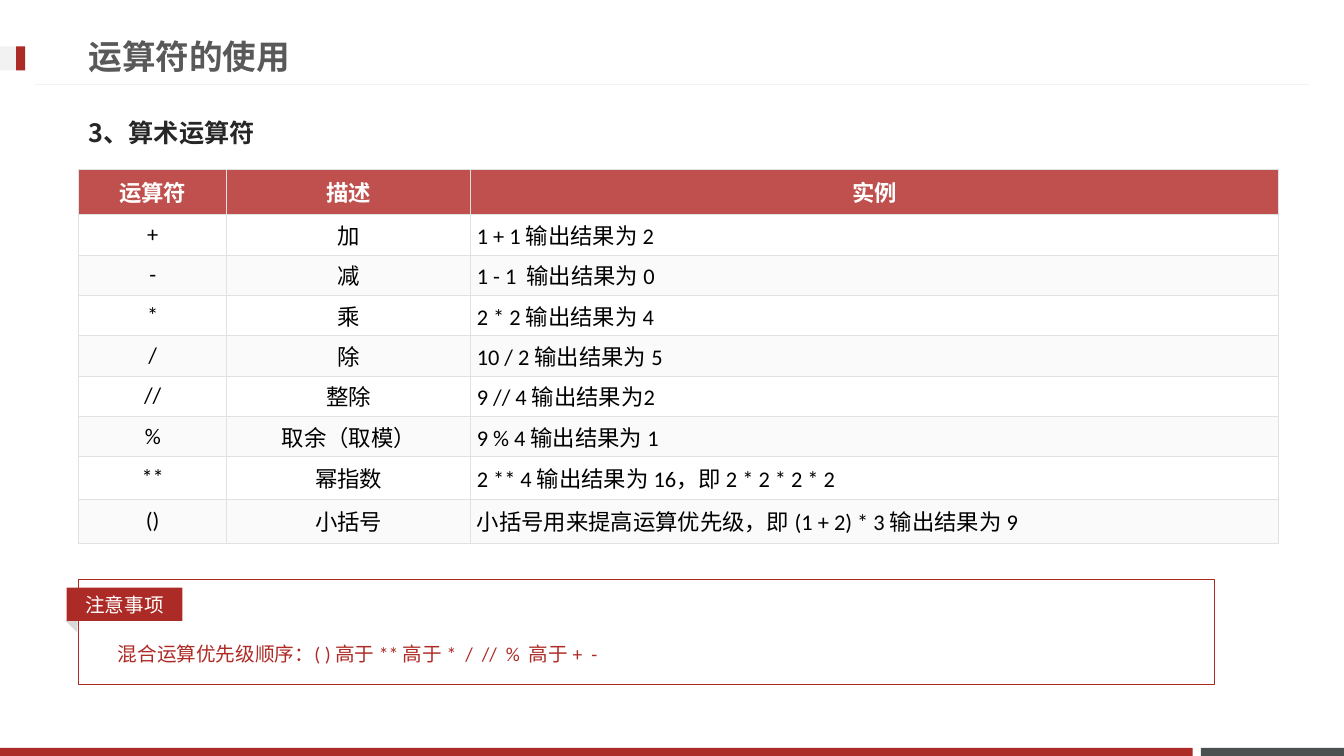
"""Build the slide on arithmetic operators."""
from lxml import etree
from pptx import Presentation
from pptx.dml.color import RGBColor
from pptx.enum import shapes, text
from pptx.oxml import ns
from pptx.util import Inches, Pt

RED, WHITE = "AD2B26", "FFFFFF"
MID, LEFT = text.PP_ALIGN.CENTER, text.PP_ALIGN.LEFT
BOX = shapes.MSO_SHAPE.RECTANGLE


def paint(item, fill=None, line=None):
    """Set a solid fill and a line, or none."""
    item.shadow.inherit = False
    for part, tint in ((item.fill, fill), (item.line.fill, line)):
        if tint:
            part.solid()
            part.fore_color.rgb = RGBColor.from_string(tint)
        else:
            part.background()
    if line:
        item.line.width = Pt(0.75)


def write(frame, words, size, tint, bold=False, align=LEFT, face="Calibri"):
    """Put one styled paragraph in a frame."""
    frame.word_wrap = True
    para = frame.paragraphs[0]
    para.alignment = align
    run = para.add_run()
    run.text = words
    form = {"size": Pt(size), "bold": bold, "name": face}
    for key, val in form.items():
        setattr(run.font, key, val)
    run.font.color.rgb = RGBColor.from_string(tint)


deck = Presentation()
deck.slide_width, deck.slide_height = Inches(13.33), Inches(7.5)
slide = deck.slides.add_slide(deck.slide_layouts[6])
items = slide.shapes

bars = [
    (11.91, 7.42, 1.42, 0.08, "49504F"),
    (0, 7.42, 11.83, 0.08, RED),
    (0, 0.46, 0.25, 0.24, "F2F2F2"),
    (0.16, 0.46, 0.09, 0.24, RED),
]
for *place, tint in bars:
    paint(items.add_shape(BOX, *map(Inches, place)), tint)

rule = items.add_connector(shapes.MSO_CONNECTOR.STRAIGHT, Inches(12.98),
                           Inches(0.84), Inches(0.35), Inches(0.84))
rule.line.color.rgb = RGBColor.from_string("F2F2F2")
rule.line.width = Pt(0.75)
etree.SubElement(rule._element.spPr, ns.qn("a:effectLst"))

heads = [
    (0.27, 9.59, "运算符的使用", 24, "595959", "Calibri"),
    (1.03, 11.76, "3、算术运算符", 18, "262626", "Noto Sans CJK JP"),
]
for top, wide, words, size, tint, face in heads:
    head = items.add_textbox(Inches(0.78), Inches(top), Inches(wide), Inches(0.57))
    head.text_frame.vertical_anchor = text.MSO_ANCHOR.MIDDLE
    write(head.text_frame, words, size, tint, True, face=face)

rows = [
    ("运算符", "描述", "实例"),
    ("+", "加", "1 + 1 输出结果为 2"),
    ("-", "减", "1 - 1  输出结果为 0"),
    ("*", "乘", "2 * 2 输出结果为 4"),
    ("/", "除", "10 / 2 输出结果为 5"),
    ("//", "整除", "9 // 4 输出结果为2"),
    ("%", "取余（取模）", "9 % 4 输出结果为 1"),
    ("**", "幂指数", "2 ** 4 输出结果为 16，即 2 * 2 * 2 * 2"),
    ("()", "小括号", "小括号用来提高运算优先级，即 (1 + 2) * 3 输出结果为 9"),
]
grid = items.add_table(len(rows), 3, Inches(0.78), Inches(1.68),
                       Inches(11.9), Inches(3.7)).table
for col, wide in zip(grid.columns, (1.47, 2.42, 8.01)):
    col.width = Inches(wide)
for row, high in zip(grid.rows, [0.45] + [0.4] * 6 + [0.42, 0.44]):
    row.height = Inches(high)

pads = {"margin_left": 0.06, "margin_right": 0.06,
        "margin_top": 0.03, "margin_bottom": 0.03}
for r, row in enumerate(rows):
    top = r == 0
    back = "C0504D" if top else (WHITE if r % 2 else "FAFAFA")
    for c, words in enumerate(row):
        cell = grid.cell(r, c)
        for key, val in pads.items():
            setattr(cell, key, Inches(val))
        cell.vertical_anchor = text.MSO_ANCHOR.MIDDLE
        write(cell.text_frame, words, 16, WHITE if top else "000000", top,
              MID if top or c < 2 else LEFT)
        props = cell._tc.get_or_add_tcPr()
        for side in ("lnL", "lnR", "lnT", "lnB"):
            edge = etree.SubElement(props, ns.qn("a:" + side), w=str(Pt(0.6)))
            solid = etree.SubElement(edge, ns.qn("a:solidFill"))
            etree.SubElement(solid, ns.qn("a:srgbClr"), val="DFE2E5")
        cell.fill.solid()
        cell.fill.fore_color.rgb = RGBColor.from_string(back)

fold = items.add_shape(shapes.MSO_SHAPE.ISOSCELES_TRIANGLE, Inches(0.66),
                       Inches(6.14), Inches(0.16), Inches(0.09))
fold.rotation = 44.2
paint(fold, "D9D9D9")

note = items.add_textbox(Inches(1.07), Inches(6.2), Inches(10.69), Inches(0.42))
write(note.text_frame, "混合运算优先级顺序：( ) 高于 ** 高于 *  /  //  %  高于 +  -", 14, RED)
note.text_frame.paragraphs[0].line_spacing = 1.5

frame = items.add_shape(BOX, Inches(0.78), Inches(5.75), Inches(11.27), Inches(1.04))
paint(frame, line=RED)

tag = items.add_shape(BOX, Inches(0.66), Inches(5.83), Inches(1.15), Inches(0.33))
paint(tag, RED)
tag.text_frame.vertical_anchor = text.MSO_ANCHOR.MIDDLE
write(tag.text_frame, "注意事项", 14, WHITE, align=MID)

deck.save("out.pptx")
